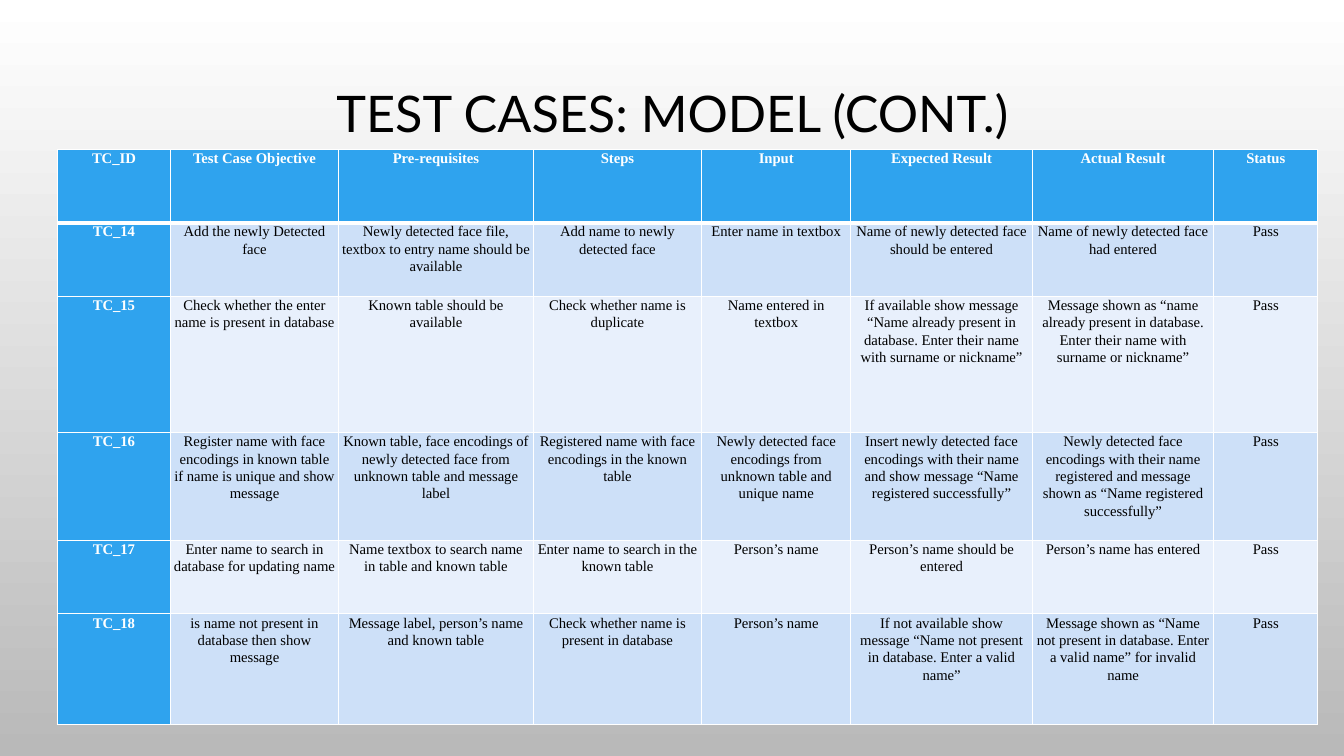
from dataclasses import dataclass

from lxml.etree import SubElement
from pptx import Presentation
from pptx.dml.color import RGBColor
from pptx.enum.text import MSO_ANCHOR, PP_ALIGN
from pptx.oxml.ns import qn
from pptx.slide import Slide
from pptx.table import Table, _Cell
from pptx.text.text import TextFrame
from pptx.util import Inches, Pt

WHITE = RGBColor(0xFF, 0xFF, 0xFF)
BLACK = RGBColor(0x00, 0x00, 0x00)
GREY = RGBColor(0xB9, 0xB9, 0xB9)
BLUE = RGBColor(0x2F, 0xA3, 0xEE)
BANDS = (RGBColor(0xE8, 0xF0, 0xFC), RGBColor(0xCD, 0xE0, 0xF8))


@dataclass(frozen=True)
class Style:
    font: str
    size: float
    color: RGBColor
    bold: bool
    space: float


@dataclass(frozen=True)
class Column:
    head: str
    width: float


@dataclass(frozen=True)
class Case:
    code: str
    height: float
    goal: str
    needs: str
    steps: str
    entry: str
    hoped: str
    actual: str
    status: str = "Pass"

    def texts(self) -> list[str]:
        return [self.code, self.goal, self.needs, self.steps, self.entry,
                self.hoped, self.actual, self.status]


TITLE = Style("Lato", 36, BLACK, False, 0.9)
LABEL = Style("Times New Roman", 10.5, WHITE, True, 1.07)
BODY = Style("Times New Roman", 10.5, BLACK, False, 1.07)

COLUMNS = [
    Column("TC_ID", 1.12),
    Column("Test Case Objective", 1.67),
    Column("Pre-requisites", 1.93),
    Column("Steps", 1.67),
    Column("Input", 1.48),
    Column("Expected Result", 1.8),
    Column("Actual Result", 1.8),
    Column("Status", 1.03),
]
HEAD_HEIGHT = 0.73

CASES = [
    Case("TC_14", 0.73,
         "Add the newly Detected face",
         "Newly detected face file, textbox to entry name should be available",
         "Add name to newly detected face",
         "Enter name in textbox",
         "Name of newly detected face should be entered",
         "Name of newly detected face had entered"),
    Case("TC_15", 1.35,
         "Check whether the enter name is present in database",
         "Known table should be available",
         "Check whether name is duplicate",
         "Name entered in textbox",
         "If available show message “Name already present in database. "
         "Enter their name with surname or nickname”",
         "Message shown as “name already present in database. "
         "Enter their name with surname or nickname”"),
    Case("TC_16", 1.07,
         "Register name with face encodings in known table if name is unique "
         "and show message",
         "Known table, face encodings of newly detected face from unknown table "
         "and message label",
         "Registered name with face encodings in the known table",
         "Newly detected face encodings from unknown table and unique name",
         "Insert newly detected face encodings with their name and show message "
         "“Name registered successfully”",
         "Newly detected face encodings with their name registered and message "
         "shown as “Name registered successfully”"),
    Case("TC_17", 0.73,
         "Enter name to search in database for updating name",
         "Name textbox to search name in table and known table",
         "Enter name to search in the known table",
         "Person’s name",
         "Person’s name should be entered",
         "Person’s name has entered"),
    Case("TC_18", 1.1,
         "is name not present in database then show message",
         "Message label, person’s name and known table",
         "Check whether name is present in database",
         "Person’s name",
         "If not available show message “Name not present in database. "
         "Enter a valid name”",
         "Message shown as “Name not present in database. Enter a valid name” "
         "for invalid name"),
]


def write(frame: TextFrame, text: str, style: Style) -> None:
    frame.text = text
    line = frame.paragraphs[0]
    line.alignment = PP_ALIGN.CENTER
    line.line_spacing = style.space
    font = line.runs[0].font
    font.name = style.font
    font.size = Pt(style.size)
    font.bold = style.bold
    font.color.rgb = style.color


def border(cell: _Cell, top: float, bottom: float) -> None:
    props = cell._tc.get_or_add_tcPr()
    for side, width in (("L", 1), ("R", 1), ("T", top), ("B", bottom)):
        edge = SubElement(props, qn(f"a:ln{side}"), w=str(Pt(width)))
        fill = SubElement(edge, qn("a:solidFill"))
        SubElement(fill, qn("a:srgbClr"), val=str(WHITE))


def fill_row(table: Table, row: int, height: float, texts: list[str]) -> None:
    table.rows[row].height = Inches(height)
    for col, text in enumerate(texts):
        cell = table.cell(row, col)
        label = row == 0 or col == 0
        border(cell, 3 if row == 1 else 1, 3 if row == 0 else 1)
        cell.fill.solid()
        cell.fill.fore_color.rgb = BLUE if label else BANDS[row % 2]
        cell.margin_left = cell.margin_right = Inches(0.03 if row else 0.07)
        cell.margin_top = cell.margin_bottom = 0
        write(cell.text_frame, text, LABEL if label else BODY)


def add_title(slide: Slide, text: str) -> None:
    box = slide.shapes.add_textbox(Inches(1.17), Inches(0.5), Inches(11), Inches(1.3))
    frame = box.text_frame
    frame.word_wrap = True
    frame.vertical_anchor = MSO_ANCHOR.MIDDLE
    write(frame, text, TITLE)


def add_cases(slide: Slide) -> None:
    width = sum(column.width for column in COLUMNS)
    height = HEAD_HEIGHT + sum(case.height for case in CASES)
    table = slide.shapes.add_table(
        len(CASES) + 1, len(COLUMNS),
        Inches(0.57), Inches(1.48), Inches(width), Inches(height)).table
    for index, column in enumerate(COLUMNS):
        table.columns[index].width = Inches(column.width)
    fill_row(table, 0, HEAD_HEIGHT, [column.head for column in COLUMNS])
    for row, case in enumerate(CASES, 1):
        fill_row(table, row, case.height, case.texts())


def shade(slide: Slide) -> None:
    fill = slide.background.fill
    fill.gradient()
    fill.gradient_angle = 270
    for stop, color in zip(fill.gradient_stops, (WHITE, GREY)):
        stop.color.rgb = color


def main() -> None:
    deck = Presentation()
    deck.slide_width = Inches(13.33)
    deck.slide_height = Inches(7.5)
    slide = deck.slides.add_slide(deck.slide_layouts[6])
    shade(slide)
    add_title(slide, "TEST CASES: MODEL (CONT.)")
    add_cases(slide)
    deck.save("out.pptx")


if __name__ == "__main__":
    main()
